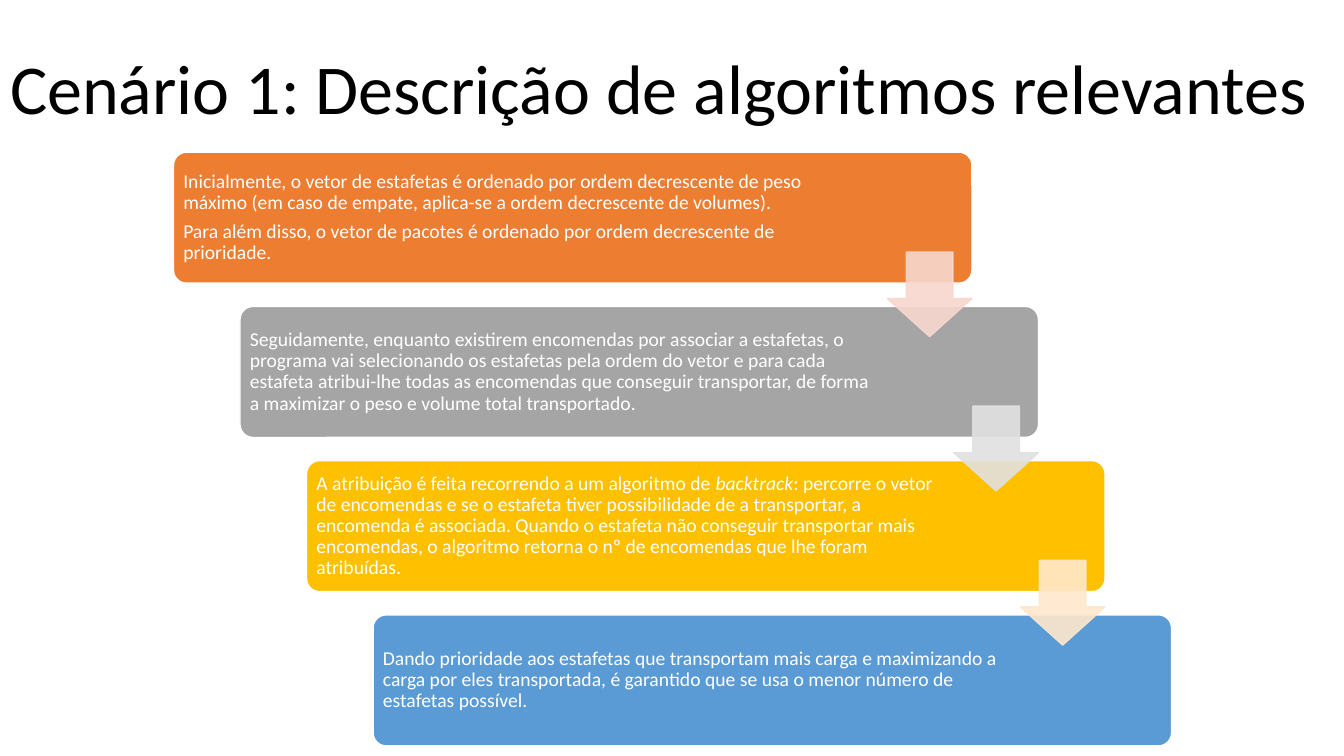
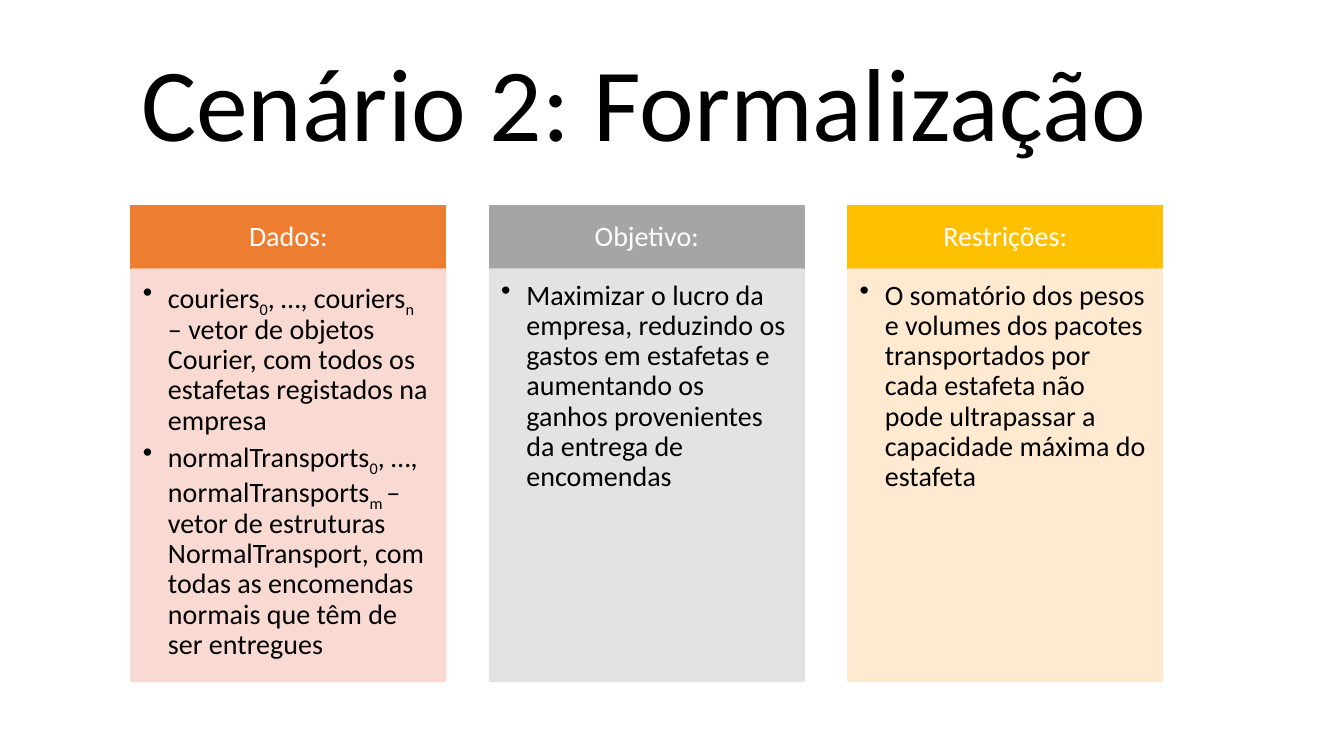
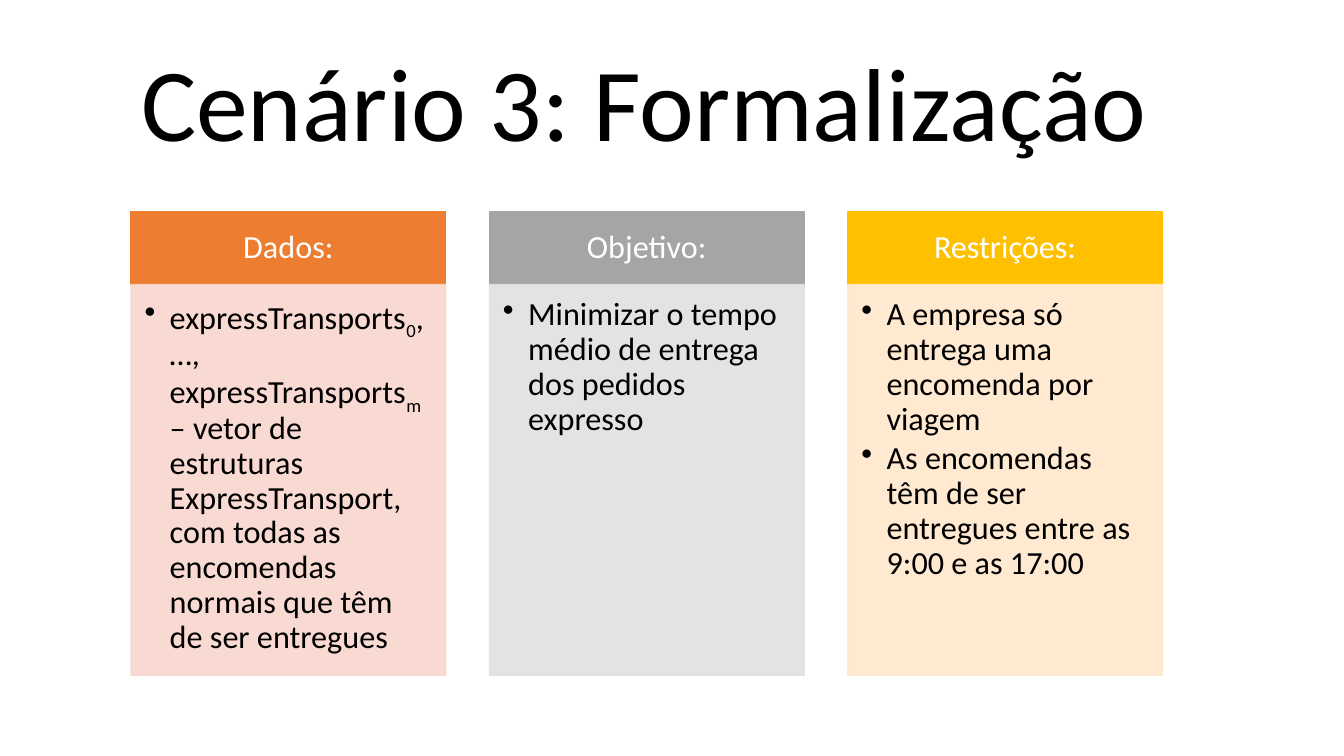
from pptx import Presentation, util as u
from pptx.dml.color import RGBColor
from pptx.enum import shapes, text
from pptx.oxml.ns import qn
from lxml import etree

WIDTH, HEIGHT = 13.33, 7.5
FONT = "Calibri"
BLACK, WHITE = "000000", "FFFFFF"
ORANGE, GREY, GOLD, BLUE = "ED7D31", "A5A5A5", "FFC000", "5B9BD5"
TINTS = ["F8D7CE", "E1E1E1", "FFE8CC"]
ACCENTS = [ORANGE, GREY, GOLD, BLUE]
HEADINGS = ["Dados:", "Objetivo:", "Restrições:"]

LEFT, CONTENT_WIDTH = 1.3, 10.23
COLUMN_WIDTH = 3.12
COLUMN_STEP = (CONTENT_WIDTH - COLUMN_WIDTH) / 2
STEP_LEFT, STEP_TOP = 1.72, 1.51
STEP_WIDTH, STEP_HEIGHT = 7.92, 1.3
STEP_RIGHT, STEP_DOWN = 0.66, 1.53
ARROW = 0.84

STEPS = [
    [
        ["Inicialmente, o vetor de estafetas é ordenado por ordem decrescente de peso máximo "
         "(em caso de empate, aplica-se a ordem decrescente de volumes)."],
        ["Para além disso, o vetor de pacotes é ordenado por ordem decrescente de prioridade."],
    ],
    [["Seguidamente, enquanto existirem encomendas por associar a estafetas, o programa vai "
      "selecionando os estafetas pela ordem do vetor e para cada estafeta atribui-lhe todas as "
      "encomendas que conseguir transportar, de forma a maximizar o peso e volume total "
      "transportado."]],
    [["A atribuição é feita recorrendo a um algoritmo de ", ("backtrack", "italic"),
      ": percorre o vetor de encomendas e se o estafeta tiver possibilidade de a transportar, a "
      "encomenda é associada. Quando o estafeta não conseguir transportar mais encomendas, o "
      "algoritmo retorna o nº de encomendas que lhe foram atribuídas."]],
    [["Dando prioridade aos estafetas que transportam mais carga e maximizando a carga por eles "
      "transportada, é garantido que se usa o menor número de estafetas possível."]],
]

SCENARIO_2 = [
    [
        ["couriers", ("0", "sub"), ", …, couriers", ("n ", "sub"),
         "– vetor de objetos Courier, com todos os estafetas registados na empresa"],
        ["normalTransports", ("0", "sub"), ", …, normalTransports", ("m ", "sub"),
         "– vetor de estruturas NormalTransport, com todas as encomendas normais que têm de ser "
         "entregues"],
    ],
    [["Maximizar o lucro da empresa, reduzindo os gastos em estafetas e aumentando os ganhos "
      "provenientes da entrega de encomendas"]],
    [["O somatório dos pesos e volumes dos pacotes transportados por cada estafeta não pode "
      "ultrapassar a capacidade máxima do estafeta"]],
]

SCENARIO_3 = [
    [["expressTransports", ("0", "sub"), ", …, expressTransports", ("m ", "sub"),
      "– vetor de estruturas ExpressTransport, com todas as encomendas normais que têm de ser "
      "entregues"]],
    [["Minimizar o tempo médio de entrega dos pedidos expresso"]],
    [
        ["A empresa só entrega uma encomenda por viagem"],
        ["As encomendas têm de ser entregues entre as 9:00 e as 17:00"],
    ],
]


def color(value):
    return RGBColor.from_string(value)


def add_block(slide, kind, box, fill, outline=None, opacity=100):
    block = slide.shapes.add_shape(kind, *map(u.Inches, box))
    block.shadow.inherit = False
    block.fill.solid()
    block.fill.fore_color.rgb = color(fill)
    block.line.color.rgb = color(outline or fill)
    block.line.width = u.Pt(1)
    if opacity < 100:
        for tone in block.element.spPr.iter(qn("a:srgbClr")):
            etree.SubElement(tone, qn("a:alpha")).set("val", str(opacity * 1000))
    return block


def add_bullet(paragraph, indent):
    properties = paragraph._p.get_or_add_pPr()
    properties.set("marL", str(u.Inches(indent)))
    properties.set("indent", str(-u.Inches(indent)))
    bullet = etree.Element(qn("a:buChar"), char="•")
    properties.find(qn("a:defRPr")).addprevious(bullet)


def write(frame, paragraphs, size, tone, margins, anchor=text.MSO_ANCHOR.MIDDLE,
          align=text.PP_ALIGN.LEFT, gap=0, bulleted=False):
    frame.word_wrap = True
    frame.auto_size = text.MSO_AUTO_SIZE.NONE
    frame.vertical_anchor = anchor
    (frame.margin_left, frame.margin_top,
     frame.margin_right, frame.margin_bottom) = map(u.Inches, margins)
    for index, pieces in enumerate(paragraphs):
        paragraph = frame.add_paragraph() if index else frame.paragraphs[0]
        paragraph.alignment = align
        paragraph.line_spacing = 0.9
        paragraph.space_after = u.Pt(size * gap)
        paragraph.font.name = FONT
        paragraph.font.size = u.Pt(size)
        paragraph.font.color.rgb = color(tone)
        if bulleted:
            paragraph.level = 1
            add_bullet(paragraph, 0.25)
        for piece in pieces:
            wording, style = (piece, None) if isinstance(piece, str) else piece
            run = paragraph.add_run()
            run.text = wording
            if style == "italic":
                run.font.italic = True
            elif style == "sub":
                run.font._element.set("baseline", "-25000")


def add_titled_slide(deck, wording, box, size):
    slide = deck.slides.add_slide(deck.slide_layouts[5])
    title = slide.shapes.title
    title.left, title.top, title.width, title.height = map(u.Inches, box)
    write(title.text_frame, [[wording]], size, BLACK, (0.1, 0.05, 0.1, 0.05))
    return slide


def add_staircase(slide):
    for row, (paragraphs, accent) in enumerate(zip(STEPS, ACCENTS)):
        box = (STEP_LEFT + row * STEP_RIGHT, STEP_TOP + row * STEP_DOWN, STEP_WIDTH, STEP_HEIGHT)
        step = add_block(slide, shapes.MSO_SHAPE.ROUNDED_RECTANGLE, box, accent, WHITE)
        step.adjustments[0] = 0.1
        write(step.text_frame, paragraphs, 14, WHITE, (0.06, 0.06, 1.54, 0.06), gap=0.35)
    for row, tint in enumerate(TINTS):
        left = STEP_LEFT + STEP_WIDTH - ARROW + row * STEP_RIGHT
        top = STEP_TOP + 0.99 + row * STEP_DOWN
        arrow = add_block(slide, shapes.MSO_SHAPE.DOWN_ARROW, (left, top, ARROW, ARROW),
                          tint, opacity=90)
        arrow.adjustments[0] = 0.55
        arrow.adjustments[1] = 0.45


def add_columns(slide, contents, top, size):
    heading_height = size * 0.0315
    body_top = top + heading_height
    body_height = 8.8 - top - body_top
    side, inner = size * 0.008, size * 0.0058
    for column, (heading, paragraphs) in enumerate(zip(HEADINGS, contents)):
        left = LEFT + column * COLUMN_STEP
        header = add_block(slide, shapes.MSO_SHAPE.RECTANGLE,
                           (left, top, COLUMN_WIDTH, heading_height), ACCENTS[column])
        write(header.text_frame, [[heading]], size, WHITE,
              (side, size * 0.0045, side, size * 0.0045),
              align=text.PP_ALIGN.CENTER, gap=0.35)
        body = add_block(slide, shapes.MSO_SHAPE.RECTANGLE,
                         (left, body_top, COLUMN_WIDTH, body_height), TINTS[column], opacity=90)
        write(body.text_frame, paragraphs, size, BLACK, (inner, inner, side, size * 0.0085),
              anchor=text.MSO_ANCHOR.TOP, gap=0.15, bulleted=True)


def main():
    deck = Presentation()
    deck.slide_width, deck.slide_height = u.Inches(WIDTH), u.Inches(HEIGHT)
    add_staircase(add_titled_slide(deck, "Cenário 1: Descrição de algoritmos relevantes",
                                   (0, 0, WIDTH, 1.83), 50))
    for number, contents, top, size in [(2, SCENARIO_2, 2.04, 20), (3, SCENARIO_3, 2.1, 23)]:
        slide = add_titled_slide(deck, f"Cenário {number}: Formalização",
                                 (LEFT, 0.42, CONTENT_WIDTH, 1.31), 74)
        add_columns(slide, contents, top, size)
    deck.save("out.pptx")


if __name__ == "__main__":
    main()
